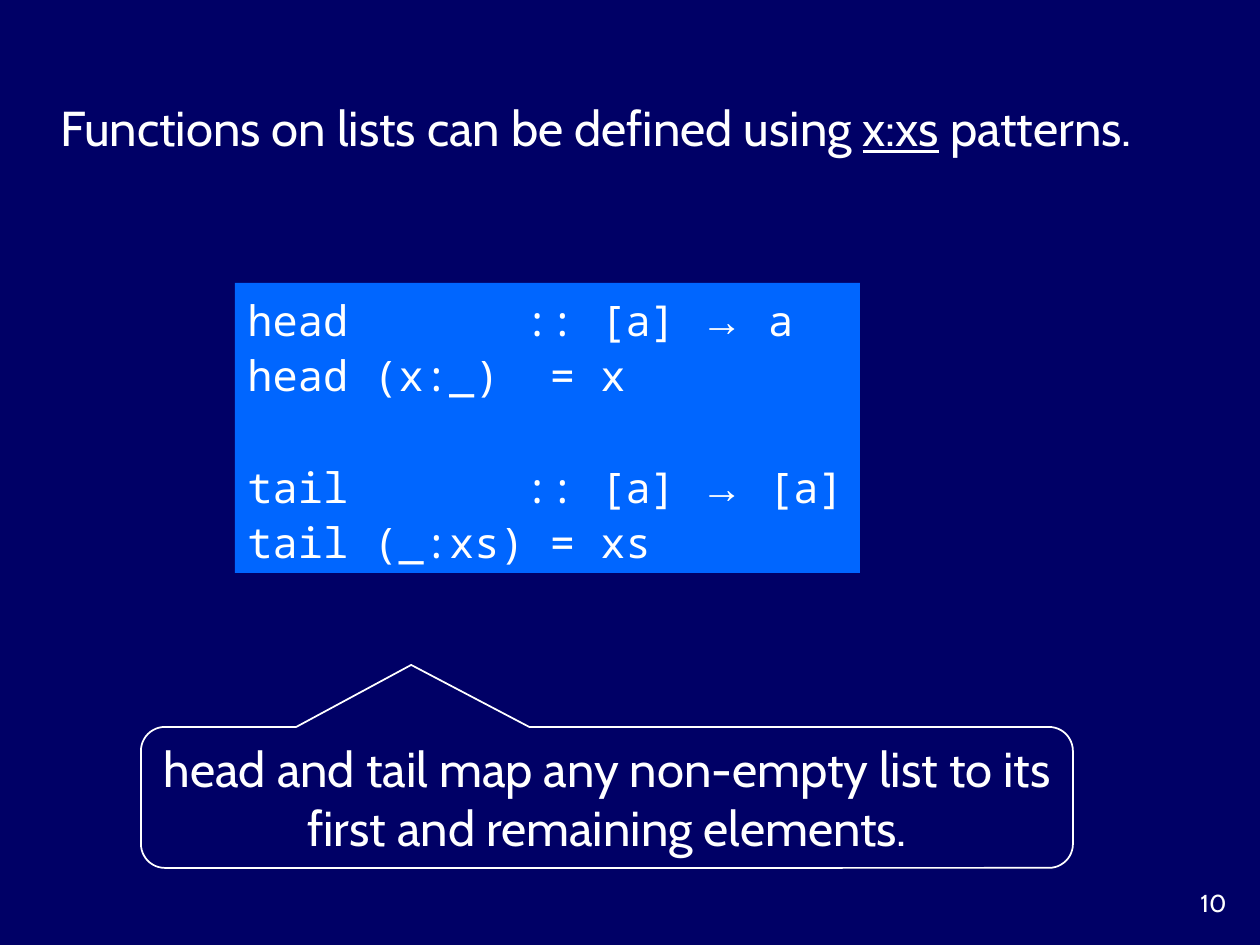
from pptx import Presentation
from pptx.dml.color import RGBColor
from pptx.enum.shapes import MSO_SHAPE
from pptx.enum.text import MSO_ANCHOR, MSO_AUTO_SIZE, PP_ALIGN
from pptx.util import Pt

PX = 914400 // 126
NAVY = RGBColor(0x00, 0x00, 0x66)
BLUE = RGBColor(0x00, 0x66, 0xFF)
WHITE = RGBColor(0xFF, 0xFF, 0xFF)
SANS = "Cabin"
MONO = "Noto Sans Mono"
SERIF = "Times New Roman"
RECT = MSO_SHAPE.RECTANGLE
CALLOUT = MSO_SHAPE.ROUNDED_RECTANGULAR_CALLOUT
MIDDLE = MSO_ANCHOR.MIDDLE
FIT = MSO_AUTO_SIZE.SHAPE_TO_FIT_TEXT
LEFT, CENTER, RIGHT = PP_ALIGN.LEFT, PP_ALIGN.CENTER, PP_ALIGN.RIGHT
ARROW = "\u2192"


def scale(box):
    return [n * PX for n in box]


def set_frame(frame, wrap=True):
    frame.word_wrap = wrap
    frame.vertical_anchor = MIDDLE
    frame.auto_size = FIT


def set_para(para, size, align=LEFT, face=None):
    para.alignment = align
    para.font.size = Pt(size)
    para.font.color.rgb = WHITE
    if face:
        para.font.name = face


def add_run(para, text):
    run = para.add_run()
    run.text = text
    return run.font


def add_text(slide, box, size, align=LEFT):
    frame = slide.shapes.add_textbox(*scale(box)).text_frame
    frame.word_wrap = True
    para = frame.paragraphs[0]
    set_para(para, size, align, SANS)
    return frame, para


def add_title(slide, box, parts):
    frame, para = add_text(slide, box, 28)
    set_frame(frame)
    for text, under in parts:
        font = add_run(para, text)
        if under:
            font.underline = True


def add_shape(slide, kind, box):
    shape = slide.shapes.add_shape(kind, *scale(box))
    shape.shadow.inherit = False
    return shape


def add_code(slide, box, blocks):
    shape = add_shape(slide, RECT, box)
    shape.fill.solid()
    shape.fill.fore_color.rgb = BLUE
    shape.line.fill.background()
    frame = shape.text_frame
    set_frame(frame, False)
    para = frame.paragraphs[0]
    for num, (name, result, rule) in enumerate(blocks):
        if num:
            para = frame.add_paragraph()
            para.space_before = Pt(32)
        set_para(para, 24)
        para.line_spacing = 1.1
        parts = ((f"{name}       :: [a] ", MONO), (ARROW, SERIF), (f" {result}", MONO))
        for text, face in parts:
            add_run(para, text).name = face
        para = frame.add_paragraph()
        set_para(para, 24, face=MONO)
        para.line_spacing = 1.1
        add_run(para, f"{name} {rule}")


def add_note(slide, box, text):
    shape = add_shape(slide, CALLOUT, box)
    for num, value in enumerate((-0.21, -0.94, 0.17)):
        shape.adjustments[num] = value
    shape.fill.background()
    shape.line.color.rgb = WHITE
    shape.line.width = Pt(1)
    set_frame(shape.text_frame)
    para = shape.text_frame.paragraphs[0]
    set_para(para, 28, CENTER, SANS)
    add_run(para, text)


def main():
    deck = Presentation()
    deck.slide_width, deck.slide_height = scale((1260, 945))
    slide = deck.slides.add_slide(deck.slide_layouts[6])
    slide.background.fill.solid()
    slide.background.fill.fore_color.rgb = NAVY

    number = add_text(slide, (1155, 882, 84, 42), 14, RIGHT)[1]
    add_run(number, "10")
    add_title(slide, (48, 91, 1183, 72), (
        ("Functions on lists can be defined using ", False),
        ("x:xs", True),
        (" patterns.", False),
    ))
    add_code(slide, (235, 283, 625, 290), (
        ("head", "a", "(x:_)  = x"),
        ("tail", "[a]", "(_:xs) = xs"),
    ))
    add_note(slide, (141, 727, 932, 141),
             "head and tail map any non-empty list to its first and remaining elements.")
    deck.save("out.pptx")


main()
